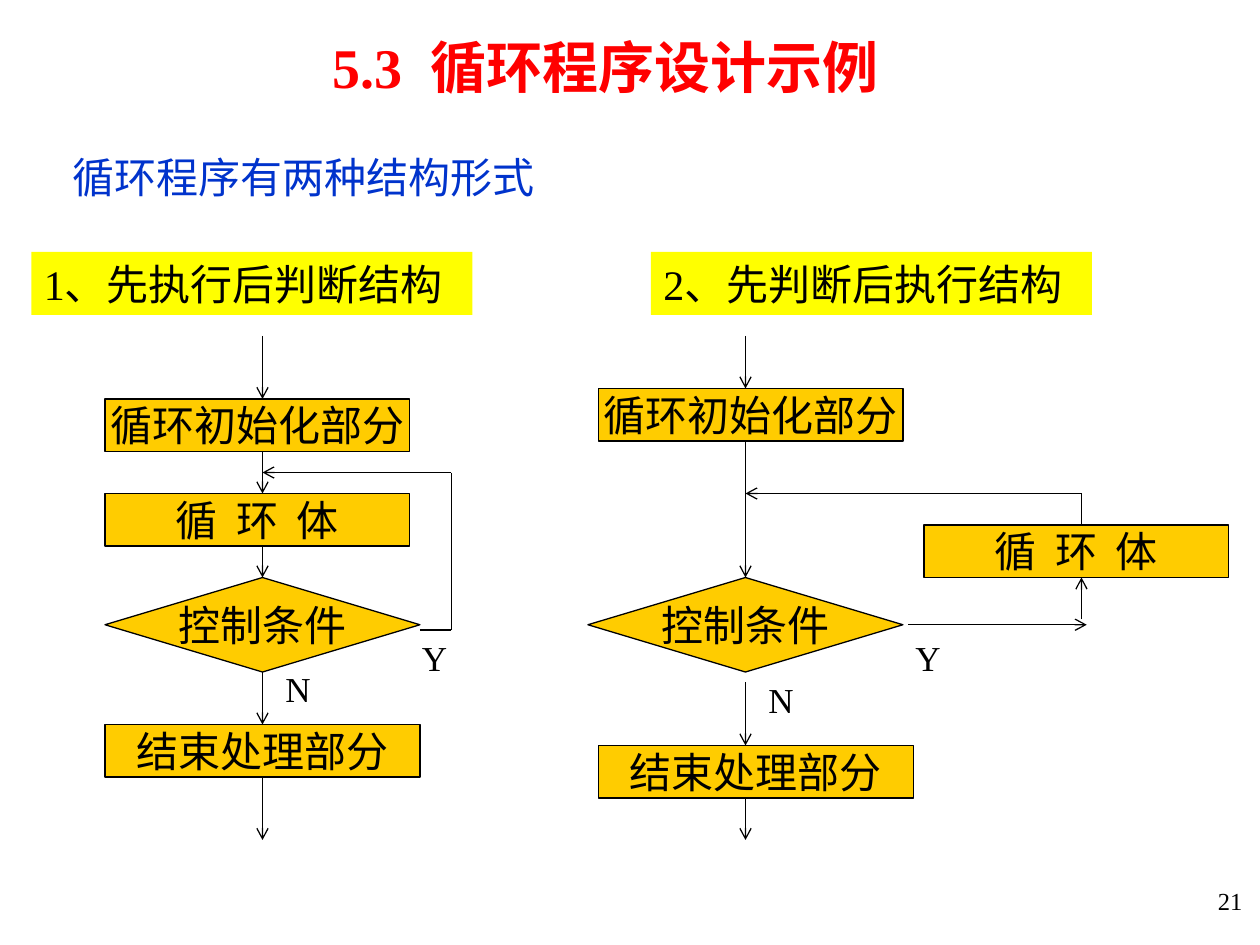
from dataclasses import dataclass
from typing import Optional

from lxml.etree import SubElement
from pptx import Presentation
from pptx.dml.color import RGBColor
from pptx.enum.shapes import MSO_CONNECTOR, MSO_SHAPE
from pptx.enum.text import MSO_ANCHOR, MSO_AUTO_SIZE, PP_ALIGN
from pptx.oxml.ns import qn
from pptx.util import Emu, Pt

EMU_PER_PX = 7620  # 120 px to the inch
FONT = "Times New Roman"
BLACK, WHITE, RED, BLUE = "000000", "FFFFFF", "FF0000", "0033CC"
YELLOW, ORANGE = "FFFF00", "FFCC00"
TOP, BOTTOM = 0, 2
BOX_WIDTH, WIDE_BOX_WIDTH, BOX_HEIGHT = 290, 300, 50
DIAMOND_HEIGHT = 90


@dataclass
class Node:
    text: str
    left: int
    top: int
    width: int = BOX_WIDTH
    height: int = BOX_HEIGHT
    preset: MSO_SHAPE = MSO_SHAPE.FLOWCHART_PROCESS


@dataclass
class Line:
    start: tuple[int, int]
    end: tuple[int, int]
    arrow: bool = True
    source: Optional[int] = None  # index of the node whose bottom it leaves
    target: Optional[int] = None  # index of the node whose top it reaches


@dataclass
class Label:
    text: str
    left: int
    top: int
    width: int


@dataclass
class Flowchart:
    nodes: list[Node]
    lines: list[Line]
    labels: list[Label]


def px(length: int) -> Emu:
    return Emu(length * EMU_PER_PX)


def color(hex_string: str) -> RGBColor:
    return RGBColor.from_string(hex_string)


def write(shape, text: str, size: int, ink: str = BLACK,
          align: PP_ALIGN = PP_ALIGN.LEFT, anchor: MSO_ANCHOR = MSO_ANCHOR.TOP,
          wrap: bool = True, bold: bool = False) -> None:
    frame = shape.text_frame
    frame.text = text
    frame.word_wrap = wrap
    frame.auto_size = MSO_AUTO_SIZE.NONE
    frame.vertical_anchor = anchor
    paragraph = frame.paragraphs[0]
    paragraph.alignment = align
    font = paragraph.runs[0].font
    font.name, font.size, font.bold = FONT, Pt(size), bold
    font.color.rgb = color(ink)


def fill(shape, hex_string: str) -> None:
    shape.fill.solid()
    shape.fill.fore_color.rgb = color(hex_string)


def add_text(shapes, text: str, left: int, top: int, width: int, height: int,
             size: int, **style) -> None:
    box = shapes.add_textbox(px(left), px(top), px(width), px(height))
    write(box, text, size, **style)


def add_heading(shapes, text: str, left: int) -> None:
    shape = shapes.add_shape(MSO_SHAPE.RECTANGLE, px(left), px(240), px(420), px(60))
    shape.shadow.inherit = False
    fill(shape, YELLOW)
    shape.line.fill.background()
    write(shape, text, 24)


def add_node(shapes, node: Node):
    shape = shapes.add_shape(node.preset, px(node.left), px(node.top),
                             px(node.width), px(node.height))
    shape.shadow.inherit = False
    fill(shape, ORANGE)
    shape.line.color.rgb = color(BLACK)
    shape.line.width = Pt(0.75)
    write(shape, node.text, 24, align=PP_ALIGN.CENTER,
          anchor=MSO_ANCHOR.MIDDLE, wrap=False)
    return shape


def add_line(shapes, line: Line, nodes: list) -> None:
    connector = shapes.add_connector(
        MSO_CONNECTOR.STRAIGHT, *map(px, line.start), *map(px, line.end))
    if line.source is not None:
        connector.begin_connect(nodes[line.source], BOTTOM)
    if line.target is not None:
        connector.end_connect(nodes[line.target], TOP)
    connector.line.color.rgb = color(BLACK)
    connector.line.width = Pt(0.75)
    if line.arrow:
        SubElement(connector.line._get_or_add_ln(), qn("a:tailEnd"), type="arrow")
    SubElement(connector._element.spPr, qn("a:effectLst"))


def add_flowchart(slide, chart: Flowchart) -> None:
    shapes = slide.shapes.add_group_shape().shapes
    nodes = [add_node(shapes, node) for node in chart.nodes]
    for line in chart.lines:
        add_line(shapes, line, nodes)
    for label in chart.labels:
        add_text(shapes, label.text, label.left, label.top, label.width, 52, 20)


def decision(left: int) -> Node:
    return Node("控制条件", left, 550, WIDE_BOX_WIDTH, DIAMOND_HEIGHT,
                MSO_SHAPE.FLOWCHART_DECISION)


EXECUTE_FIRST = Flowchart(
    nodes=[
        Node("循环初始化部分", 100, 380),
        Node("循  环  体", 100, 470),
        decision(100),
        Node("结束处理部分", 100, 690, WIDE_BOX_WIDTH),
    ],
    lines=[
        Line((250, 320), (250, 380)),
        Line((250, 430), (250, 470)),
        Line((250, 520), (250, 550), target=2),
        Line((250, 640), (250, 690), source=2, target=3),
        Line((250, 740), (250, 800), source=3),
        Line((400, 600), (430, 600), arrow=False),
        Line((430, 600), (430, 450), arrow=False),
        Line((430, 450), (250, 450)),
    ],
    labels=[Label("N", 260, 630, 60), Label("Y", 390, 600, 50)],
)

TEST_FIRST = Flowchart(
    nodes=[
        Node("循环初始化部分", 570, 370),
        decision(560),
        Node("结束处理部分", 570, 710, WIDE_BOX_WIDTH),
        Node("循  环  体", 880, 500),
    ],
    lines=[
        Line((710, 320), (710, 370)),
        Line((710, 420), (710, 550), target=1),
        Line((710, 650), (710, 710)),
        Line((710, 760), (710, 800)),
        Line((865, 595), (1035, 595)),
        Line((1030, 590), (1030, 550)),
        Line((1030, 500), (1030, 470), arrow=False),
        Line((1030, 470), (710, 470)),
    ],
    labels=[Label("N", 720, 640, 60), Label("Y", 860, 600, 50)],
)


def main() -> None:
    presentation = Presentation()
    presentation.slide_width, presentation.slide_height = px(1200), px(900)
    slide = presentation.slides.add_slide(presentation.slide_layouts[5])

    title = slide.shapes.title
    title.left, title.top, title.width, title.height = map(px, (268, 25, 593, 77))
    fill(title, WHITE)
    write(title, "5.3  循环程序设计示例", 32, ink=RED, align=PP_ALIGN.CENTER, bold=True)
    title.text_frame.margin_left = px(36)

    add_text(slide.shapes, "循环程序有两种结构形式", 29, 138, 520, 60, 24,
             ink=BLUE, align=PP_ALIGN.CENTER)
    add_heading(slide.shapes, "1、先执行后判断结构", 30)
    add_heading(slide.shapes, "2、先判断后执行结构", 620)
    add_flowchart(slide, EXECUTE_FIRST)
    add_flowchart(slide, TEST_FIRST)
    add_text(slide.shapes, "21", 1100, 838, 95, 60, 14, align=PP_ALIGN.RIGHT)

    presentation.save("out.pptx")


if __name__ == "__main__":
    main()
